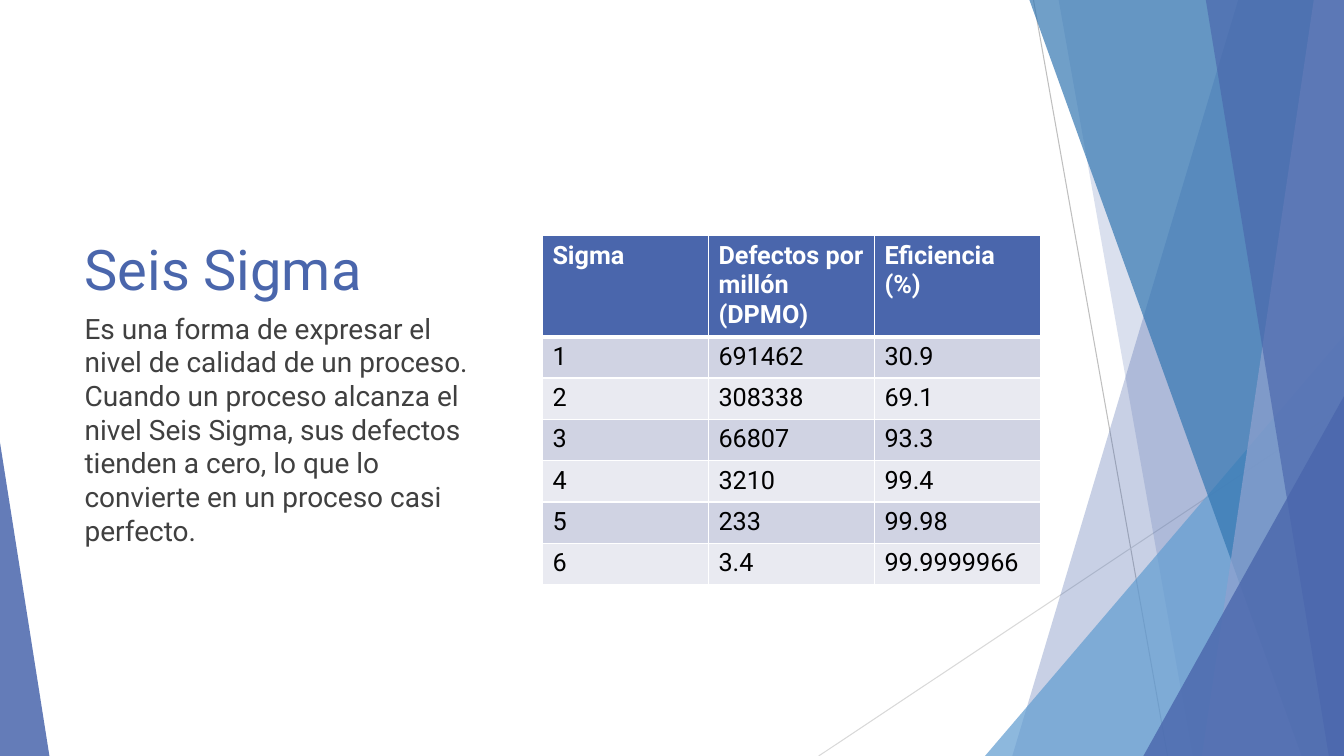
from pptx import Presentation
from pptx.dml.color import RGBColor
from pptx.enum.shapes import MSO_CONNECTOR as Connector, MSO_SHAPE as Shape
from pptx.enum.text import MSO_ANCHOR as Anchor
from pptx.oxml import parse_xml
from pptx.oxml.ns import nsdecls, qn
from pptx.oxml.xmlchemy import OxmlElement
from pptx.util import Inches, Pt

# Content
TITLE = "Seis Sigma"
BODY = ("Es una forma de expresar el nivel de calidad de un proceso. "
        "Cuando un proceso alcanza el nivel Seis Sigma, sus defectos tienden a cero, "
        "lo que lo convierte en un proceso casi perfecto.")
SIGMA_ROWS = [
    ("Sigma", "Defectos por millón (DPMO)", "Eficiencia (%)"),
    ("1", "691462", "30.9"),
    ("2", "308338", "69.1"),
    ("3", "66807", "93.3"),
    ("4", "3210", "99.4"),
    ("5", "233", "99.98"),
    ("6", "3.4", "99.9999966"),
]

# Format
WIDTH, HEIGHT = 13.33, 7.5
FONT = "Roboto"
BLUE, WHITE = "4A66AC", "FFFFFF"
BANDS = ("E9EAF1", "D0D3E3")
TEXT_LEFT, TEXT_WIDTH, TITLE_TOP, BODY_TOP = 0.74, 4.22, 1.64, 3.04
TABLE_LEFT, TABLE_TOP, TABLE_WIDTH = 5.38, 2.34, 4.94
HEADER_HEIGHT, ROW_HEIGHT = 0.97, 0.41

# Decoration, from back to front
RAYS = [((10.25, 0), (11.58, HEIGHT), "BFBFBF"),
        ((WIDTH, 4.03), (8.12, HEIGHT), "D9D9D9")]
# facet: top x, bottom x, colour, opacity; it fills up to the right edge
# triangle: left, top, width, apex share, colour, opacity; it stands on the bottom edge
DECORATION = [
    ("facet", 12.28, 10.04, BLUE, 30),
    ("facet", 10.5, 11.83, BLUE, 20),
    ("triangle", 9.77, 3.33, 3.56, 1, "629DD1", 72),
    ("facet", 10.21, 12.91, "3477B2", 70),
    ("facet", 13.03, 11.92, "90A2CF", 70),
    ("facet", 11.96, 13.18, BLUE, 65),
    ("triangle", 11.34, 3.93, 1.99, 1, BLUE, 80),
    ("triangle", 0, 4.39, 0.49, 0, BLUE, 85),
]


def rgb(value):
    return RGBColor.from_string(value)


def add_ray(slide, start, end, color):
    ends = [Inches(value) for value in (*start, *end)]
    ray = slide.shapes.add_connector(Connector.STRAIGHT, *ends)
    ray.line.color.rgb = rgb(color)
    ray.line.width = Pt(0.75)
    ray._element.spPr.append(OxmlElement("a:effectLst"))


def paint(shape, color, opacity):
    shape.shadow.inherit = False
    shape.line.fill.background()
    shape.fill.solid()
    shape.fill.fore_color.rgb = rgb(color)
    alpha = OxmlElement("a:alpha")
    alpha.set("val", str(opacity * 1000))
    shape._element.spPr.find(".//" + qn("a:srgbClr")).append(alpha)


def add_facet(slide, top_x, bottom_x, color, opacity):
    builder = slide.shapes.build_freeform(Inches(top_x), 0)
    corners = [(WIDTH, 0), (WIDTH, HEIGHT), (bottom_x, HEIGHT)]
    builder.add_line_segments([(Inches(x), Inches(y)) for x, y in corners], close=True)
    paint(builder.convert_to_shape(), color, opacity)


def add_triangle(slide, left, top, width, apex, color, opacity):
    box = [Inches(value) for value in (left, top, width, HEIGHT - top)]
    triangle = slide.shapes.add_shape(Shape.ISOSCELES_TRIANGLE, *box)
    triangle.adjustments[0] = apex
    paint(triangle, color, opacity)


def write(frame, text, size, color, bold=False):
    frame.word_wrap = True
    paragraph = frame.paragraphs[0]
    run = paragraph.add_run()
    run.text = text
    for name, value in {"name": FONT, "size": Pt(size), "bold": bold}.items():
        setattr(run.font, name, value)
    run.font.color.rgb = rgb(color)
    return paragraph


def add_text(slide, top, height, text, size, color):
    box = [Inches(value) for value in (TEXT_LEFT, top, TEXT_WIDTH, height)]
    frame = slide.shapes.add_textbox(*box).text_frame
    return frame, write(frame, text, size, color)


def set_borders(cell, widths):
    properties = cell._tc.get_or_add_tcPr()
    for index, (side, width) in enumerate(widths.items()):
        properties.insert(index, parse_xml(
            f'<a:ln{side} {nsdecls("a")} w="{Pt(width)}"><a:solidFill>'
            f'<a:srgbClr val="{WHITE}"/></a:solidFill></a:ln{side}>'))


def add_sigma_table(slide):
    columns = len(SIGMA_ROWS[0])
    heights = [HEADER_HEIGHT] + [ROW_HEIGHT] * (len(SIGMA_ROWS) - 1)
    box = [Inches(value) for value in (TABLE_LEFT, TABLE_TOP, TABLE_WIDTH, sum(heights))]
    table = slide.shapes.add_table(len(SIGMA_ROWS), columns, *box).table
    for column in table.columns:
        column.width = Inches(TABLE_WIDTH / columns)
    for r, (values, height) in enumerate(zip(SIGMA_ROWS, heights)):
        table.rows[r].height = Inches(height)
        header = r == 0
        for c, value in enumerate(values):
            cell = table.cell(r, c)
            cell.fill.solid()
            cell.fill.fore_color.rgb = rgb(BLUE if header else BANDS[r % 2])
            write(cell.text_frame, value, 18, WHITE if header else "000000", header)
            set_borders(cell, {"L": 1, "R": 1, "T": 3 if r == 1 else 1,
                               "B": 3 if header else 1})


def main():
    presentation = Presentation()
    presentation.slide_width = Inches(WIDTH)
    presentation.slide_height = Inches(HEIGHT)
    slide = presentation.slides.add_slide(presentation.slide_layouts[6])

    # Background rays and facets
    for ray in RAYS:
        add_ray(slide, *ray)
    makers = {"facet": add_facet, "triangle": add_triangle}
    for kind, *values in DECORATION:
        makers[kind](slide, *values)

    # Title, table and explanation
    title_frame, _ = add_text(slide, TITLE_TOP, BODY_TOP - TITLE_TOP, TITLE, 40, BLUE)
    title_frame.vertical_anchor = Anchor.BOTTOM
    add_sigma_table(slide)
    _, paragraph = add_text(slide, BODY_TOP, 2.83, BODY, 20, "404040")
    paragraph.space_before = Pt(10)

    presentation.save("out.pptx")


if __name__ == "__main__":
    main()
